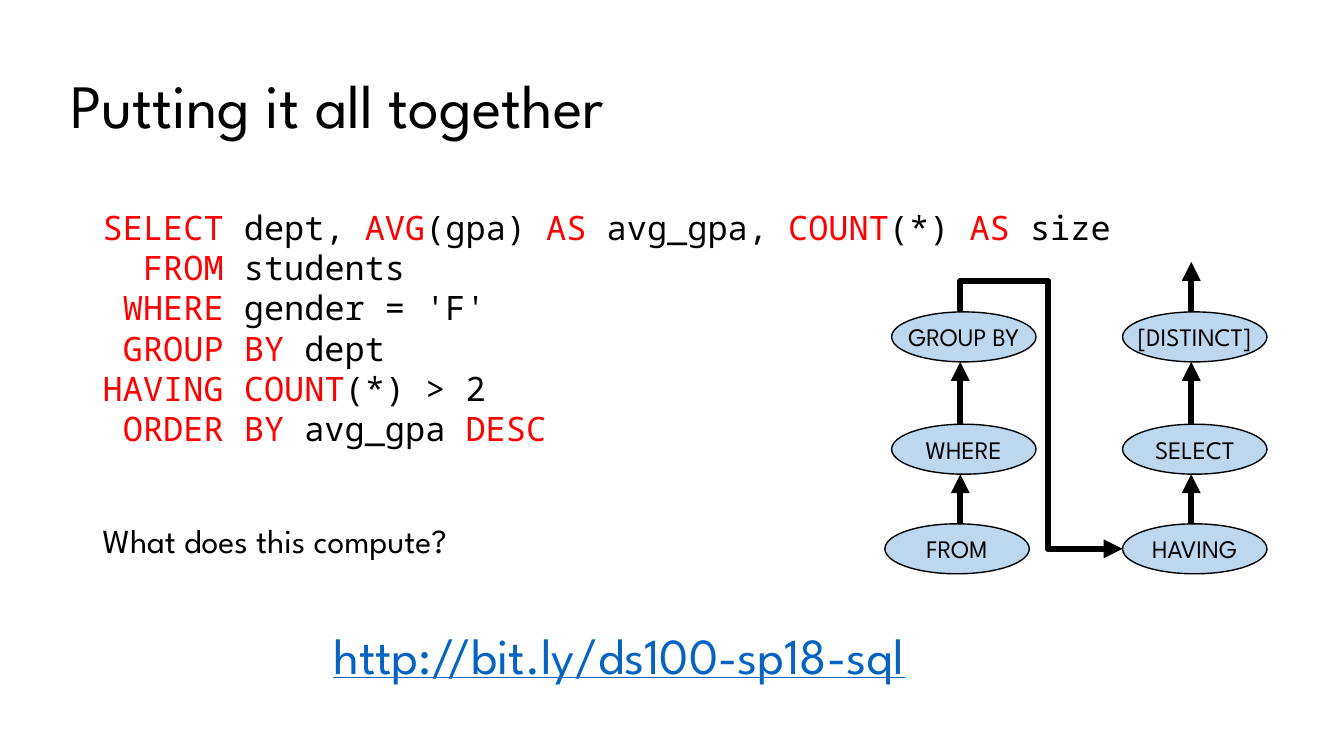
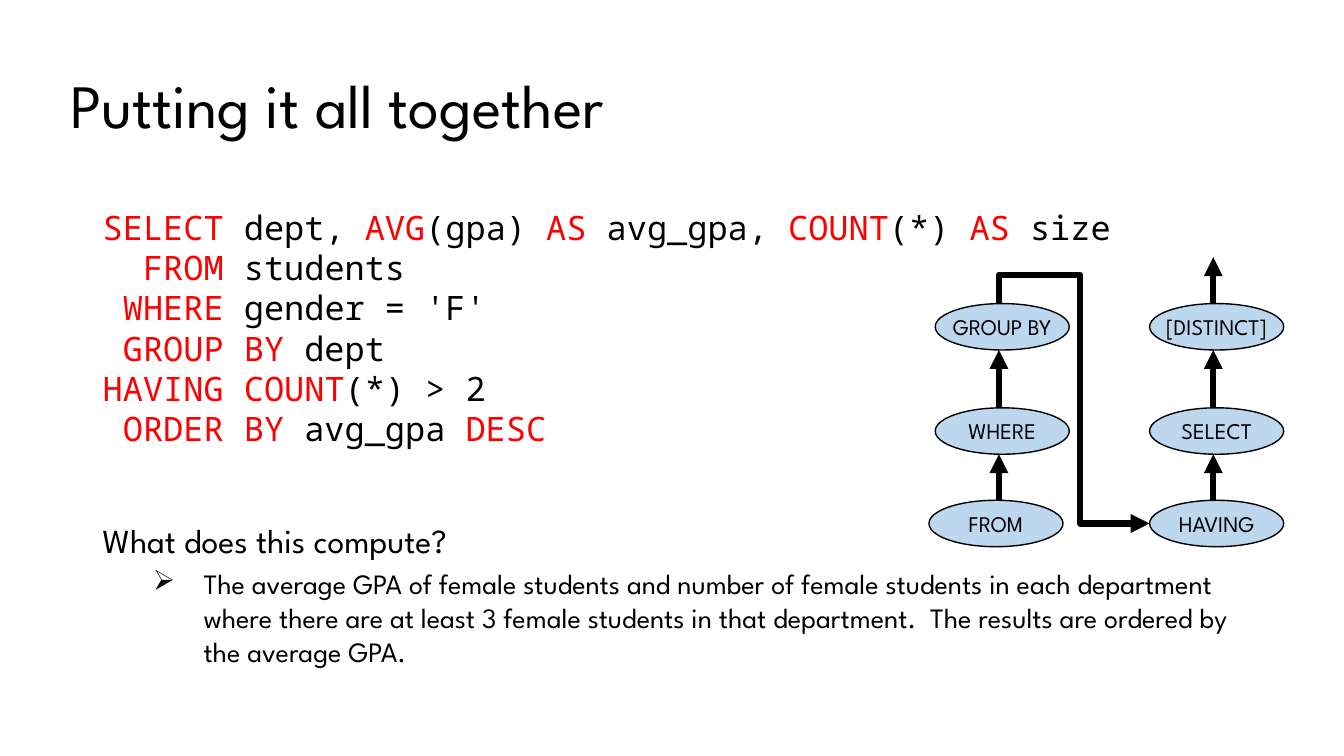
from lxml.etree import SubElement
from pptx import Presentation
from pptx.dml.color import RGBColor
from pptx.enum.shapes import MSO_CONNECTOR, MSO_SHAPE
from pptx.enum.text import MSO_ANCHOR, PP_ALIGN
from pptx.oxml.ns import qn
from pptx.util import Cm, Pt

COLORS = {"ink": "000000", "keyword": "FF0000", "node": "BDD7EE", "link": "0563C1"}
SANS = "League Spartan"
MONO = "Noto Sans Mono"
LEADING = 1.2

TITLE = "Putting it all together"
QUERY = [
    "|SELECT |dept, |AVG|(gpa) |AS |avg_gpa, |COUNT|(*) |AS| size",
    "  |FROM |students",
    " |WHERE |gender = 'F'",
    " |GROUP BY |dept",
    "|HAVING COUNT|(*) > 2",
    " |ORDER BY |avg_gpa |DESC",
]
QUESTION = "What does this compute?"
ANSWER = (
    "The average GPA of female students and number of female students in each "
    "department where there are at least 3 female students in that department.  "
    "The results are ordered by the average GPA."
)
ADDRESS = "http://bit.ly/ds100-sp18-sql"

FLOW_WIDTH = 9.63
NODE_WIDTH, NODE_HEIGHT = 3.64, 1.26
ROW_TOPS = [1.26, 4.09, 6.6]
COLUMNS = [
    (1.9, [(0.17, "GROUP BY"), (0.17, "WHERE"), (0, "FROM")]),
    (7.72, [(5.99, "[DISTINCT]"), (5.99, "SELECT"), (5.99, "HAVING")]),
]
DETOUR_TOP, DETOUR_X = 0.48, 4.11


def rgb(name):
    return RGBColor.from_string(COLORS[name])


def style(font, size, face=SANS, color="ink"):
    font.size = Pt(size)
    font.name = face
    font.color.rgb = rgb(color)


def add_text_frame(slide, left, top, width, height, wrap=True):
    frame = slide.shapes.add_textbox(Cm(left), Cm(top), Cm(width), Cm(height)).text_frame
    frame.word_wrap = wrap
    return frame


def add_title(slide, left, top, width, height):
    frame = add_text_frame(slide, left, top, width, height)
    frame.vertical_anchor = MSO_ANCHOR.MIDDLE
    frame.text = TITLE
    heading = frame.paragraphs[0]
    heading.line_spacing = 0.9
    style(heading.runs[0].font, 44)


def space(paragraph, size, before=0):
    paragraph.line_spacing = Pt(size * LEADING)
    paragraph.space_before = Pt(before)


def add_query(slide, left, top, width, height, answer=None):
    frame = add_text_frame(slide, left, top, width, height)
    for index, line in enumerate(QUERY):
        clause = frame.add_paragraph() if index else frame.paragraphs[0]
        space(clause, 24)
        for part, words in enumerate(line.split("|")):
            if words:
                run = clause.add_run()
                run.text = words
                style(run.font, 24, MONO, "keyword" if part % 2 else "ink")

    question = frame.add_paragraph()
    question.text = QUESTION
    space(question, 24, 50.8)
    style(question.runs[0].font, 24)

    if answer:
        reply = frame.add_paragraph()
        reply.text = answer
        reply.level = 1
        properties = reply._p.get_or_add_pPr()
        properties.set("marL", str(Cm(2.54)))
        properties.set("indent", str(Cm(-1.27)))
        SubElement(properties, qn("a:buChar")).set("char", "➢")
        space(reply, 20, 5)
        style(reply.runs[0].font, 20)


def add_address(slide, left, top, width, height):
    frame = add_text_frame(slide, left, top, width, height, wrap=False)
    frame.text = ADDRESS
    font = frame.paragraphs[0].runs[0].font
    style(font, 36, color="link")
    font.underline = True


def draw_arrow(line_shape):
    line_shape.line.color.rgb = rgb("ink")
    line_shape.line.width = Pt(4.5)
    properties = line_shape.element.spPr
    SubElement(properties.find(qn("a:ln")), qn("a:tailEnd")).set("type", "triangle")


def add_flow(slide, left, top, width, size):
    scale = width / FLOW_WIDTH

    def place(x, y):
        return Cm(left + x * scale), Cm(top + y * scale)

    def add_node(x, y, label):
        node = slide.shapes.add_shape(
            MSO_SHAPE.OVAL, *place(x, y), Cm(NODE_WIDTH * scale), Cm(NODE_HEIGHT * scale)
        )
        node.shadow.inherit = False
        node.fill.solid()
        node.fill.fore_color.rgb = rgb("node")
        node.line.color.rgb = rgb("ink")
        node.line.width = Pt(1)
        frame = node.text_frame
        frame.word_wrap = False
        frame.vertical_anchor = MSO_ANCHOR.MIDDLE
        frame.text = label
        frame.paragraphs[0].alignment = PP_ALIGN.CENTER
        style(frame.paragraphs[0].runs[0].font, size)

    def add_arrow(x, start, end):
        arrow = slide.shapes.add_connector(
            MSO_CONNECTOR.STRAIGHT, *place(x, start), *place(x, end)
        )
        draw_arrow(arrow)
        SubElement(arrow.element.spPr, qn("a:effectLst"))

    for arrow_x, nodes in COLUMNS:
        for row_top, (node_x, label) in zip(ROW_TOPS, nodes):
            add_node(node_x, row_top, label)
        for upper, lower in zip(ROW_TOPS, ROW_TOPS[1:]):
            add_arrow(arrow_x, lower, upper + NODE_HEIGHT)

    group_x, output_x = (arrow_x for arrow_x, _ in COLUMNS)
    add_arrow(output_x, ROW_TOPS[0], 0)

    having_x = COLUMNS[1][1][2][0]
    having_y = ROW_TOPS[2] + NODE_HEIGHT / 2
    outline = slide.shapes.build_freeform(*place(group_x, ROW_TOPS[0]))
    corners = [
        (group_x, DETOUR_TOP),
        (DETOUR_X, DETOUR_TOP),
        (DETOUR_X, having_y),
        (having_x, having_y),
    ]
    outline.add_line_segments([place(*corner) for corner in corners], close=False)
    detour = outline.convert_to_shape()
    detour.shadow.inherit = False
    detour.fill.background()
    draw_arrow(detour)


def add_base_slide(deck):
    slide = deck.slides.add_slide(deck.slide_layouts[6])
    add_title(slide, 1.52, 0.89, 30, 3.68)
    return slide


def add_question_slide(deck):
    slide = add_base_slide(deck)
    add_query(slide, 2.34, 5.08, 29.21, 9.73)
    add_address(slide, 8.15, 15.6, 17.09, 1.8)
    add_flow(slide, 22.3, 6.6, FLOW_WIDTH, 18)


def add_answer_slide(deck):
    slide = add_base_slide(deck)
    add_query(slide, 2.34, 5.08, 29.21, 12.09, ANSWER)
    add_flow(slide, 23.41, 6.48, 8.94, 16)


def main():
    deck = Presentation()
    deck.slide_width, deck.slide_height = Cm(33.87), Cm(19.05)
    add_question_slide(deck)
    add_answer_slide(deck)
    deck.save("out.pptx")


if __name__ == "__main__":
    main()
